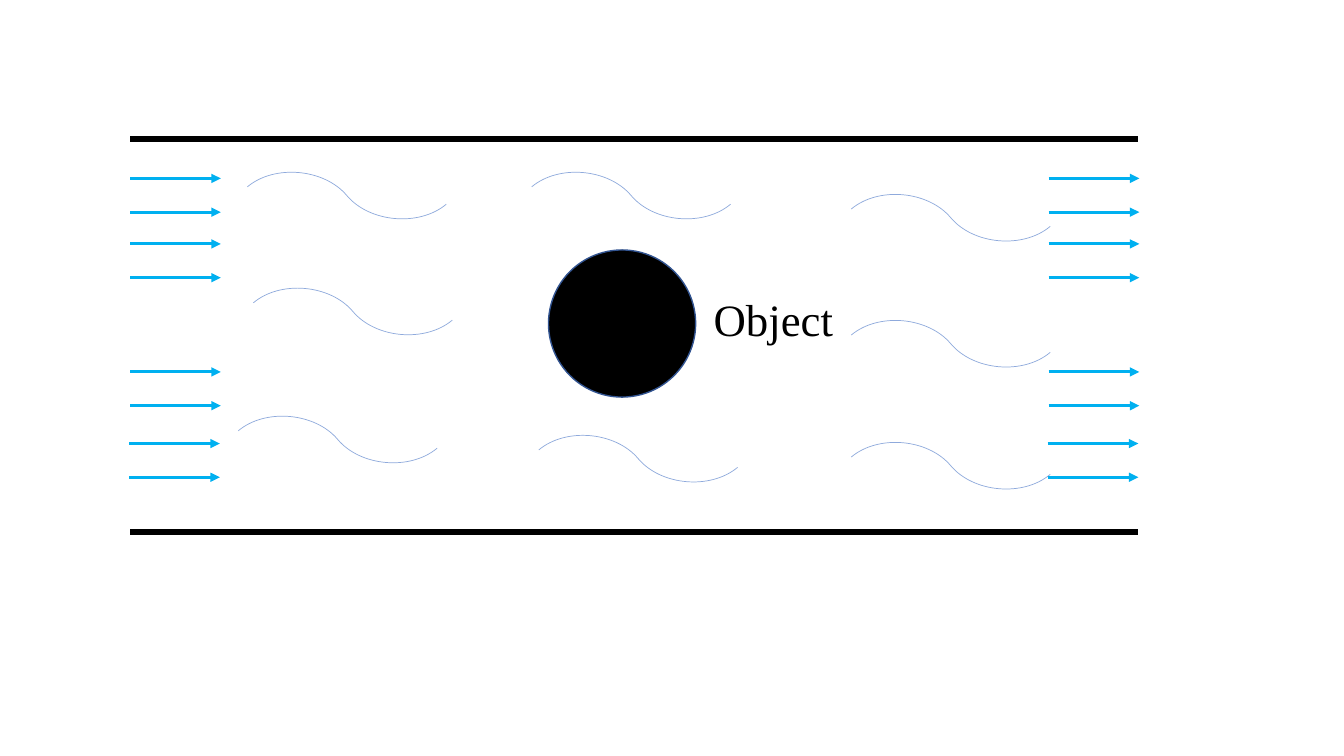
from pptx import Presentation
from pptx.dml.color import RGBColor
from pptx.enum import shapes, text
from pptx.oxml import ns
from pptx.util import Inches, Pt
from lxml import etree

INK = {"wall": "000000", "flow": "00B0F0", "wave": "8FAADC", "rim": "325491"}
KIND = shapes.MSO_CONNECTOR

deck = Presentation()
deck.slide_width, deck.slide_height = Inches(13.33), Inches(7.5)
slide = deck.slides.add_slide(deck.slide_layouts[6])


def join(kind, x1, y1, x2, y2, ink, width, head=False, turn=0):
    line = slide.shapes.add_connector(kind, *map(Inches, (x1, y1, x2, y2)))
    line.line.color.rgb = RGBColor.from_string(INK[ink])
    line.line.width = Pt(width)
    props = line._element.spPr
    if head:
        etree.SubElement(props.find(ns.qn("a:ln")), ns.qn("a:tailEnd"), type="triangle")
    if turn:
        props.find(ns.qn("a:xfrm")).set("rot", str(turn * 60000))
    etree.SubElement(props, ns.qn("a:effectLst"))


def write(words, x, y, w, h, font, size, ink):
    box = slide.shapes.add_textbox(*map(Inches, (x, y, w, h)))
    frame = box.text_frame
    frame.word_wrap = False
    frame.auto_size = text.MSO_AUTO_SIZE.SHAPE_TO_FIT_TEXT
    run = frame.paragraphs[0].add_run()
    run.text = words
    run.font.name = font
    run.font.size = Pt(size)
    run.font.color.rgb = RGBColor.from_string(INK[ink])


for y in (1.38, 5.28):
    join(KIND.STRAIGHT, 1.29, y, 11.29, y, "wall", 4.5)

ball = slide.shapes.add_shape(
    shapes.MSO_SHAPE.OVAL, Inches(5.44), Inches(2.48), Inches(1.46), Inches(1.46)
)
ball.shadow.inherit = False
ball.fill.solid()
ball.fill.fore_color.rgb = RGBColor.from_string(INK["wall"])
ball.line.color.rgb = RGBColor.from_string(INK["rim"])
ball.line.width = Pt(1)

side = 1.4
waves = [
    (2.8, 2.39), (2.65, 3.66), (5.56, 1.24), (2.74, 1.24),
    (5.63, 3.85), (8.73, 1.46), (8.73, 2.71), (8.73, 3.92),
]
for x, y in waves:
    join(KIND.CURVE, x + side, y + side, x, y, "wave", 0.5, turn=320)

for left in (1.29, 10.4):
    for top, shift in ((1.77, 0), (2.42, 0), (3.69, 0), (4.4, -0.01)):
        for y in (top, top + 0.335):
            x = left + shift
            join(KIND.STRAIGHT, x, y, x + 0.9, y, "flow", 2.25, head=True)

write("Object", 6.98, 2.84, 1.4, 0.64, font="Times New Roman", size=32, ink="wall")

deck.save("out.pptx")
